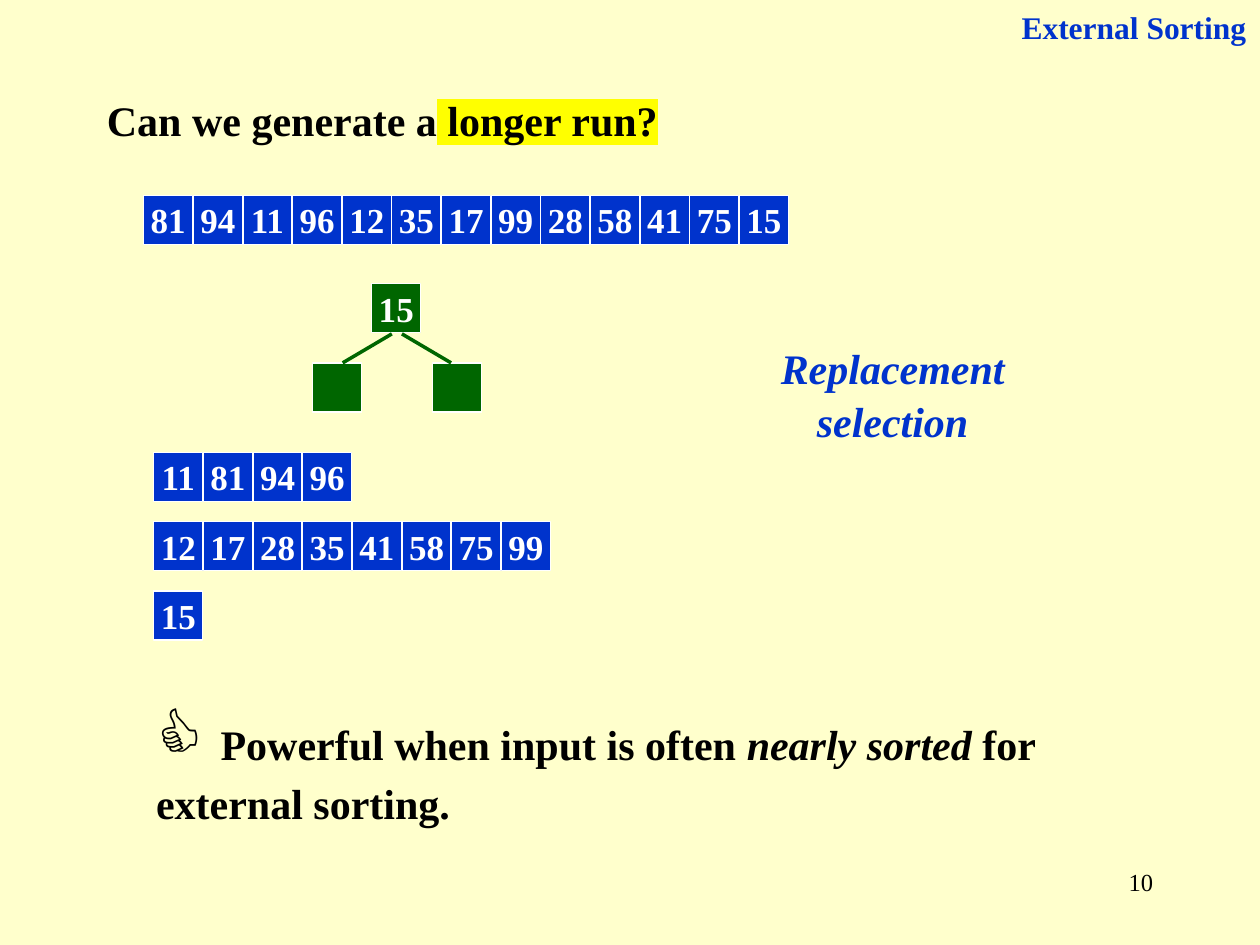
"""Build a slide on replacement selection in external sorting."""
from dataclasses import dataclass
from typing import Optional

import lxml.etree
import pptx
import pptx.dml.color
import pptx.enum.shapes
import pptx.enum.text
import pptx.oxml.ns
import pptx.util

Inches = pptx.util.Inches
Pt = pptx.util.Pt
Align = pptx.enum.text.PP_ALIGN
qn = pptx.oxml.ns.qn

COLORS = {
    "cream": "FFFFCC",
    "blue": "0033CC",
    "green": "006600",
    "white": "FFFFFF",
    "black": "000000",
    "yellow": "FFFF00",
}
FONT = "Times New Roman"
CELL = 0.39
PITCH = 0.394


@dataclass(frozen=True)
class Span:
    text: str
    size: float = 24
    color: str = "black"
    bold: bool = True
    italic: bool = False
    highlight: Optional[str] = None


@dataclass(frozen=True)
class Label:
    left: float
    top: float
    width: float
    height: float
    spans: tuple[Span, ...]
    align: Align = Align.LEFT
    spacing: float = 1.05
    grows: bool = True


@dataclass(frozen=True)
class Run:
    left: float
    top: float
    keys: tuple[int, ...]


@dataclass(frozen=True)
class Node:
    left: float
    top: float
    key: str = ""


@dataclass(frozen=True)
class Edge:
    start_x: float
    start_y: float
    end_x: float
    end_y: float


LABELS = (
    Label(7.17, 6.83, 2.08, 0.5, (Span("10", 14, bold=False),), Align.RIGHT, 1, False),
    Label(7.6, 0, 2.39, 0.4, (Span("External Sorting", 18, "blue"),), Align.RIGHT),
    Label(0.75, 0.68, 5.12, 0.5, (
        Span("Can we generate a"),
        Span(" longer run?", highlight="yellow"),
    )),
    Label(5.63, 2.65, 2.91, 0.9,
          (Span("Replacement selection", color="blue", italic=True),), Align.CENTER),
    Label(1.14, 5.4, 8.11, 1.17, (
        Span("👍 ", 40),
        Span("Powerful when input is often "),
        Span("nearly sorted", italic=True),
        Span(" for external sorting."),
    )),
)
INPUT = Run(1.14, 1.55, (81, 94, 11, 96, 12, 35, 17, 99, 28, 58, 41, 75, 15))
OUTPUT_RUNS = (
    Run(1.22, 3.59, (11, 81, 94, 96)),
    Run(1.22, 4.14, (12, 17, 28, 35, 41, 58, 75, 99)),
    Run(1.22, 4.69, (15,)),
)
HEAP_NODES = (Node(2.95, 2.25, "15"), Node(2.48, 2.88), Node(3.43, 2.88))
HEAP_EDGES = (Edge(3.11, 2.65, 2.72, 2.88), Edge(3.19, 2.65, 3.58, 2.88))


def rgb(name: str) -> pptx.dml.color.RGBColor:
    """Return a named colour."""
    return pptx.dml.color.RGBColor.from_string(COLORS[name])


def add_span(para, span: Span) -> None:
    """Append one formatted run to a paragraph."""
    run = para.add_run()
    run.text = span.text
    font = run.font
    font.name = FONT
    font.size = Pt(span.size)
    font.bold = span.bold
    font.italic = span.italic
    font.color.rgb = rgb(span.color)
    if span.highlight:
        mark = lxml.etree.Element(qn("a:highlight"))
        lxml.etree.SubElement(mark, qn("a:srgbClr"), val=COLORS[span.highlight])
        font.fill._xPr.find(qn("a:solidFill")).addnext(mark)


def add_label(shapes, label: Label) -> None:
    """Draw a wrapped text box."""
    box = shapes.add_textbox(Inches(label.left), Inches(label.top),
                             Inches(label.width), Inches(label.height))
    frame = box.text_frame
    frame.word_wrap = True
    if label.grows:
        frame.auto_size = pptx.enum.text.MSO_AUTO_SIZE.SHAPE_TO_FIT_TEXT
    para = frame.paragraphs[0]
    para.alignment = label.align
    para.line_spacing = label.spacing
    for span in label.spans:
        add_span(para, span)


def add_cell(shapes, left: float, top: float, key: str, color: str) -> None:
    """Draw one square holding a key."""
    box = shapes.add_shape(pptx.enum.shapes.MSO_SHAPE.RECTANGLE, Inches(left),
                           Inches(top), Inches(CELL), Inches(CELL))
    box.shadow.inherit = False
    box.fill.solid()
    box.fill.fore_color.rgb = rgb(color)
    box.line.color.rgb = rgb("white")
    box.line.width = Pt(0.75)
    if key:
        frame = box.text_frame
        frame.word_wrap = False
        frame.vertical_anchor = pptx.enum.text.MSO_ANCHOR.MIDDLE
        para = frame.paragraphs[0]
        para.alignment = Align.CENTER
        add_span(para, Span(key, 20, "white"))


def add_run_cells(shapes, run: Run) -> None:
    """Draw a row of adjoining keys."""
    for index, key in enumerate(run.keys):
        add_cell(shapes, run.left + index * PITCH, run.top, str(key), "blue")


def add_edge(shapes, edge: Edge) -> None:
    """Draw one branch of the heap."""
    line = shapes.add_connector(pptx.enum.shapes.MSO_CONNECTOR.STRAIGHT,
                                Inches(edge.start_x), Inches(edge.start_y),
                                Inches(edge.end_x), Inches(edge.end_y))
    line.line.color.rgb = rgb("green")
    line.line.width = Pt(2)
    lxml.etree.SubElement(line._element.spPr, qn("a:effectLst"))


def main() -> None:
    """Build and save the deck."""
    deck = pptx.Presentation()
    deck.slide_width = Inches(10)
    deck.slide_height = Inches(7.5)
    page = deck.slides.add_slide(deck.slide_layouts[6])
    page.background.fill.solid()
    page.background.fill.fore_color.rgb = rgb("cream")

    for label in LABELS:
        add_label(page.shapes, label)
    add_run_cells(page.shapes.add_group_shape().shapes, INPUT)
    for run in OUTPUT_RUNS:
        add_run_cells(page.shapes, run)
    heap = page.shapes.add_group_shape().shapes
    for node in HEAP_NODES:
        add_cell(heap, node.left, node.top, node.key, "green")
    for edge in HEAP_EDGES:
        add_edge(heap, edge)

    deck.save("out.pptx")


if __name__ == "__main__":
    main()
